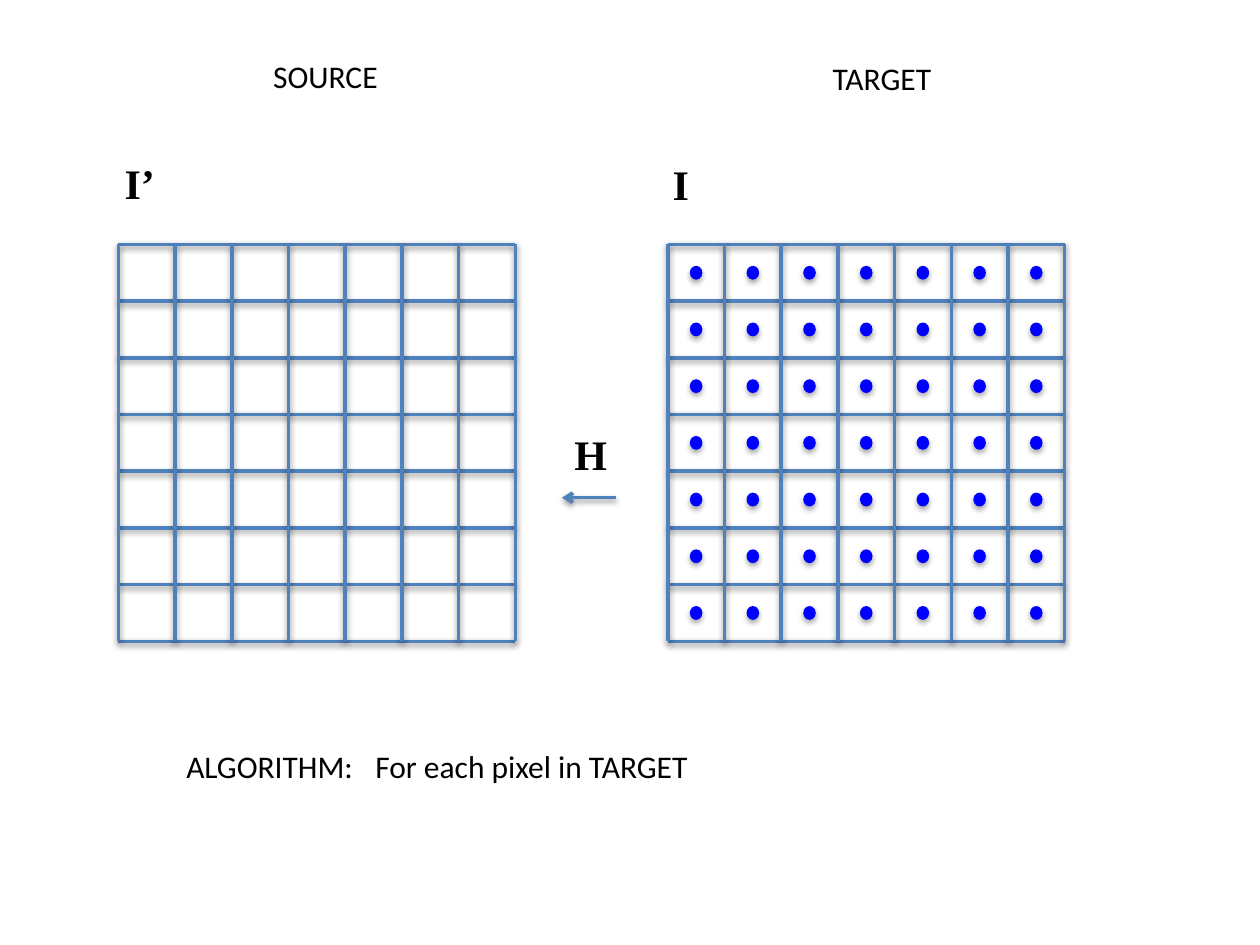
"""Build a slide mapping each pixel of a target grid back to a source grid."""
from lxml.etree import SubElement
from pptx import Presentation
from pptx.dml.color import RGBColor
from pptx.enum.shapes import MSO_CONNECTOR, MSO_SHAPE
from pptx.enum.text import MSO_AUTO_SIZE
from pptx.oxml.ns import qn
from pptx.util import Inches, Pt


def paint(color_format, hex_color):
    color_format.rgb = RGBColor.from_string(hex_color)


def add_line(page, x1, y1, x2, y2):
    line = page.shapes.add_connector(
        MSO_CONNECTOR.STRAIGHT, Inches(x1), Inches(y1), Inches(x2), Inches(y2))
    line.line.width = Pt(2)
    paint(line.line.color, "4F81BD")
    return line


CELLS = 7
CELL = 0.45
SIDE = CELLS * CELL
TOP = 1.94
SOURCE_LEFT, TARGET_LEFT = 0.94, 5.3
DOT_WIDTH, DOT_HEIGHT = 0.1, 0.11

deck = Presentation()
deck.slide_width, deck.slide_height = Inches(10), Inches(7.5)
page = deck.slides.add_slide(deck.slide_layouts[6])

for left in (SOURCE_LEFT, TARGET_LEFT):
    for step in range(CELLS + 1):
        y = TOP + step * CELL
        add_line(page, left, y, left + SIDE, y)
    for step in range(CELLS + 1):
        x = left + step * CELL
        add_line(page, x, TOP, x, TOP + SIDE)

arrow = add_line(page, 4.89, 3.95, 4.46, 3.95)
SubElement(arrow.line._get_or_add_ln(), qn("a:tailEnd"), type="arrow")

labels = [
    ("I’", 0.89, 1.2, 0.45, 0.5, "Times New Roman", 24, True),
    ("I", 5.24, 1.21, 0.33, 0.5, "Times New Roman", 24, True),
    ("H", 4.46, 3.35, 0.46, 0.5, "Times New Roman", 24, True),
    ("SOURCE", 2.07, 0.4, 1.04, 0.4, "Calibri", 18, False),
    ("TARGET", 6.51, 0.42, 0.99, 0.4, "Calibri", 18, False),
    ("ALGORITHM:\tFor each pixel in TARGET", 1.38, 5.88, 4.22, 0.4, "Calibri", 18, False),
]
for text, left, top, width, height, font_name, size, bold in labels:
    box = page.shapes.add_textbox(Inches(left), Inches(top), Inches(width), Inches(height))
    box.text_frame.word_wrap = False
    box.text_frame.auto_size = MSO_AUTO_SIZE.SHAPE_TO_FIT_TEXT
    para = box.text_frame.paragraphs[0]
    span = para.add_run()
    span.text = text
    span.font.name = font_name
    span.font.size = Pt(size)
    span.font.bold = bold
    paint(span.font.color, "000000")

for row in range(CELLS):
    for column in range(CELLS):
        center_x = TARGET_LEFT + (column + 0.5) * CELL
        center_y = TOP + (row + 0.5) * CELL
        dot = page.shapes.add_shape(
            MSO_SHAPE.OVAL, Inches(center_x - DOT_WIDTH / 2), Inches(center_y - DOT_HEIGHT / 2),
            Inches(DOT_WIDTH), Inches(DOT_HEIGHT))
        dot.fill.solid()
        paint(dot.fill.fore_color, "0000FF")
        dot.line.fill.background()

deck.save("out.pptx")
